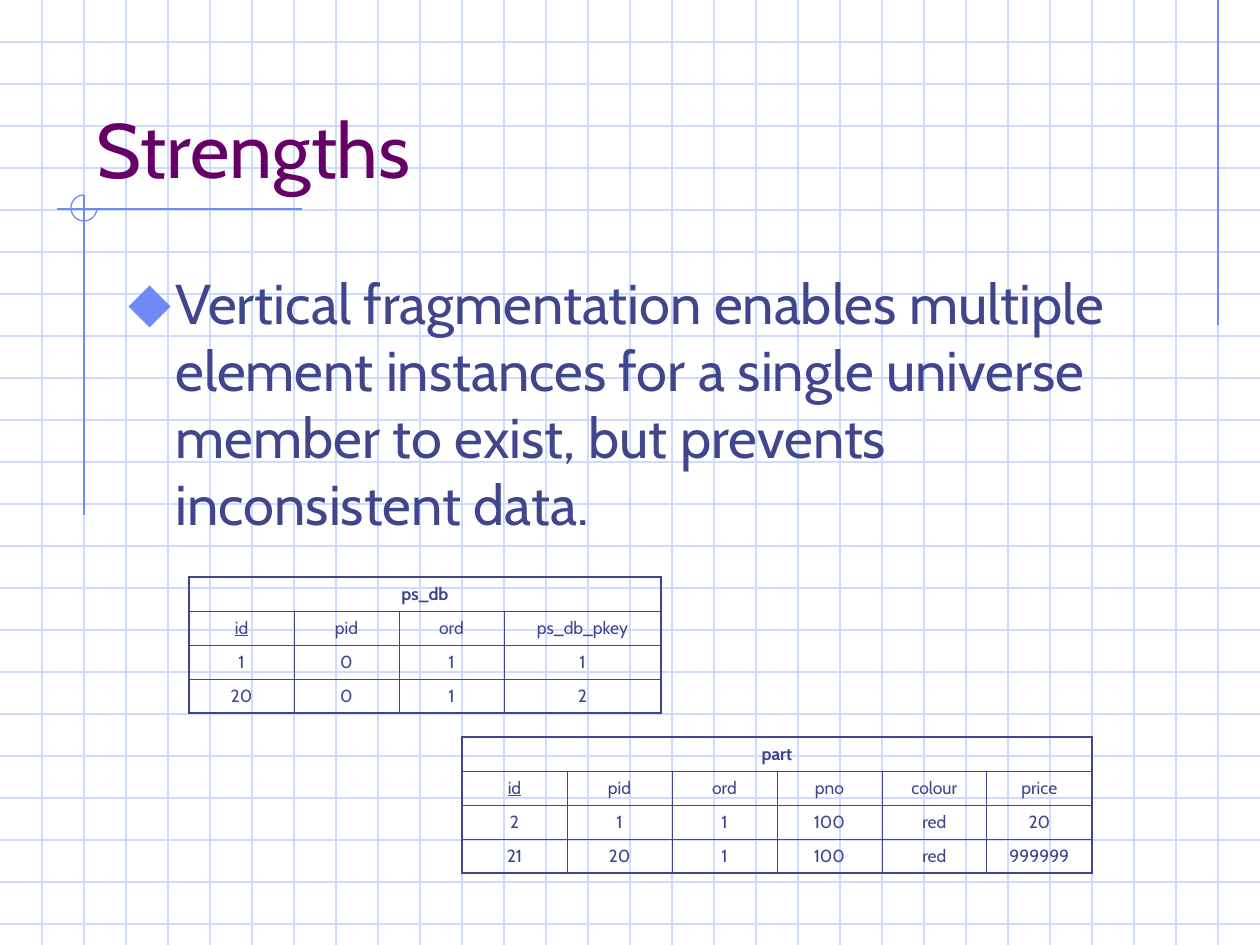
from lxml import etree
from pptx import Presentation
from pptx.dml.color import RGBColor
from pptx.enum.shapes import MSO_CONNECTOR, MSO_SHAPE
from pptx.enum.text import MSO_ANCHOR, MSO_AUTO_SIZE, PP_ALIGN
from pptx.oxml.ns import qn
from pptx.util import Pt

STRAIGHT = MSO_CONNECTOR.STRAIGHT
ARC = MSO_SHAPE.ARC
TOP, BOTTOM = MSO_ANCHOR.TOP, MSO_ANCHOR.BOTTOM
LEFT, CENTER = PP_ALIGN.LEFT, PP_ALIGN.CENTER
NO_AUTOFIT = MSO_AUTO_SIZE.NONE

PX_PER_INCH = 126
WIDTH, HEIGHT, GRID_STEP = 1260, 945, 42
FONT = "Cabin"
GRID, ACCENT, HEADING, INK = "CFDBFD", "6F89F7", "660066", "40458C"
THIN, THICK = 0.45, 1.08


def px(length):
    return round(length * 914400 / PX_PER_INCH)


def color(value):
    return RGBColor.from_string(value)


def set_attributes(target, values):
    for name, value in values.items():
        setattr(target, name, value)


def set_font(font, size, ink, **extra):
    set_attributes(font, {"name": FONT, "size": Pt(size), **extra})
    font.color.rgb = color(ink)


def place(shape, box):
    names = ("left", "top", "width", "height")
    set_attributes(shape, dict(zip(names, map(px, box))))


def add_line(group, start, end, ink):
    line = group.shapes.add_connector(STRAIGHT, *map(px, (*start, *end)))
    line.line.color.rgb = color(ink)
    line.line.width = Pt(0.75)
    etree.SubElement(line.element.spPr, qn("a:effectLst"))


def add_grid(slide, box):
    left, top, width, height = box
    right, bottom = left + width, top + height
    group = slide.shapes.add_group_shape()
    for y in range(top + GRID_STEP, bottom, GRID_STEP):
        add_line(group, (left, y), (right, y), GRID)
    for x in range(left + GRID_STEP, right, GRID_STEP):
        add_line(group, (x, top), (x, bottom), GRID)


def add_corner_mark(slide, box):
    left, top, width, height = box
    group = slide.shapes.add_group_shape()
    add_line(group, (left + width, top + 14), (left, top + 14), ACCENT)
    add_line(group, (left + 27, top), (left + 27, top + height), ACCENT)
    arc = group.shapes.add_shape(ARC, *map(px, (left + 14, top, 26, 26)))
    arc.adjustments[0] = 0
    arc.adjustments[1] = 162
    arc.shadow.inherit = False
    arc.fill.background()
    arc.line.color.rgb = color(ACCENT)
    arc.line.width = Pt(0.75)


def fill_placeholder(slide, shape, box, text, anchor):
    slide.shapes.element.append(shape.element)
    place(shape, box)
    frame = shape.text_frame
    frame.text = text
    set_attributes(frame, {
        "word_wrap": True,
        "auto_size": NO_AUTOFIT,
        "vertical_anchor": anchor,
    })
    paragraph = frame.paragraphs[0]
    set_attributes(paragraph, {"alignment": LEFT, "space_before": Pt(0)})
    return paragraph


def add_title(slide, box, text):
    paragraph = fill_placeholder(slide, slide.shapes.title, box, text, BOTTOM)
    set_font(paragraph.font, 44, HEADING)


def add_bullet(slide, box, text):
    paragraph = fill_placeholder(slide, slide.placeholders[1], box, text, TOP)
    properties = paragraph._p.get_or_add_pPr()
    properties.set("marL", str(px(47)))
    properties.set("indent", str(px(-47)))
    bullet_color = etree.SubElement(properties, qn("a:buClr"))
    etree.SubElement(bullet_color, qn("a:srgbClr"), val=ACCENT)
    etree.SubElement(properties, qn("a:buSzPct"), val="110000")
    etree.SubElement(properties, qn("a:buChar"), char="⬥")
    set_font(paragraph.font, 32, INK)


def set_borders(cell, widths):
    properties = cell._tc.get_or_add_tcPr()
    for side, width in widths.items():
        border = etree.SubElement(properties, qn(f"a:ln{side}"), w=str(Pt(width)))
        fill = etree.SubElement(border, qn("a:solidFill"))
        etree.SubElement(fill, qn("a:srgbClr"), val=INK)


def add_relation(slide, box, name, rows, column_widths):
    rows = [[name] + [""] * (len(column_widths) - 1), *rows]
    last_row, last_column = len(rows) - 1, len(column_widths) - 1
    frame = slide.shapes.add_table(len(rows), len(column_widths), *map(px, box))
    table = frame.table
    set_attributes(table, {"first_row": False, "horz_banding": False})
    for column, width in zip(table.columns, column_widths):
        column.width = px(width)
    for row in table.rows:
        row.height = px(box[3] / len(rows))
    table.cell(0, 0).merge(table.cell(0, last_column))
    for r, values in enumerate(rows):
        for c, value in enumerate(values):
            cell = table.cell(r, c)
            set_borders(cell, {
                "L": THICK if c == 0 else THIN,
                "R": THICK if r == 0 or c == last_column else THIN,
                "T": THICK if r == 0 else THIN,
                "B": THICK if r == last_row else THIN,
            })
            cell.fill.background()
            cell.text = value
            paragraph = cell.text_frame.paragraphs[0]
            paragraph.alignment = CENTER
            set_font(paragraph.font, 10, INK, bold=r == 0)
            if value == "id":
                paragraph.runs[0].font.underline = True


def main():
    presentation = Presentation()
    presentation.slide_width, presentation.slide_height = px(WIDTH), px(HEIGHT)
    slide = presentation.slides.add_slide(presentation.slide_layouts[1])
    slide.background.fill.solid()
    slide.background.fill.fore_color.rgb = color("FFFFFF")

    add_grid(slide, (0, 0, WIDTH, HEIGHT))
    add_line(slide, (1218, 0), (1218, 325), ACCENT)
    add_corner_mark(slide, (57, 195, 245, 320))
    add_title(slide, (84, 42, 1071, 158), "Strengths")
    add_bullet(
        slide, (116, 262, 1071, 567),
        "Vertical fragmentation enables multiple element instances for a single "
        "universe member to exist, but prevents inconsistent data.",
    )
    add_relation(slide, (462, 737, 630, 136), "part", [
        ["id", "pid", "ord", "pno", "colour", "price"],
        ["2", "1", "1", "100", "red", "20"],
        ["21", "20", "1", "100", "red", "999999"],
    ], [105] * 6)
    add_relation(slide, (189, 577, 472, 136), "ps_db", [
        ["id", "pid", "ord", "ps_db_pkey"],
        ["1", "0", "1", "1"],
        ["20", "0", "1", "2"],
    ], [105] * 3 + [157])
    presentation.save("out.pptx")


if __name__ == "__main__":
    main()
